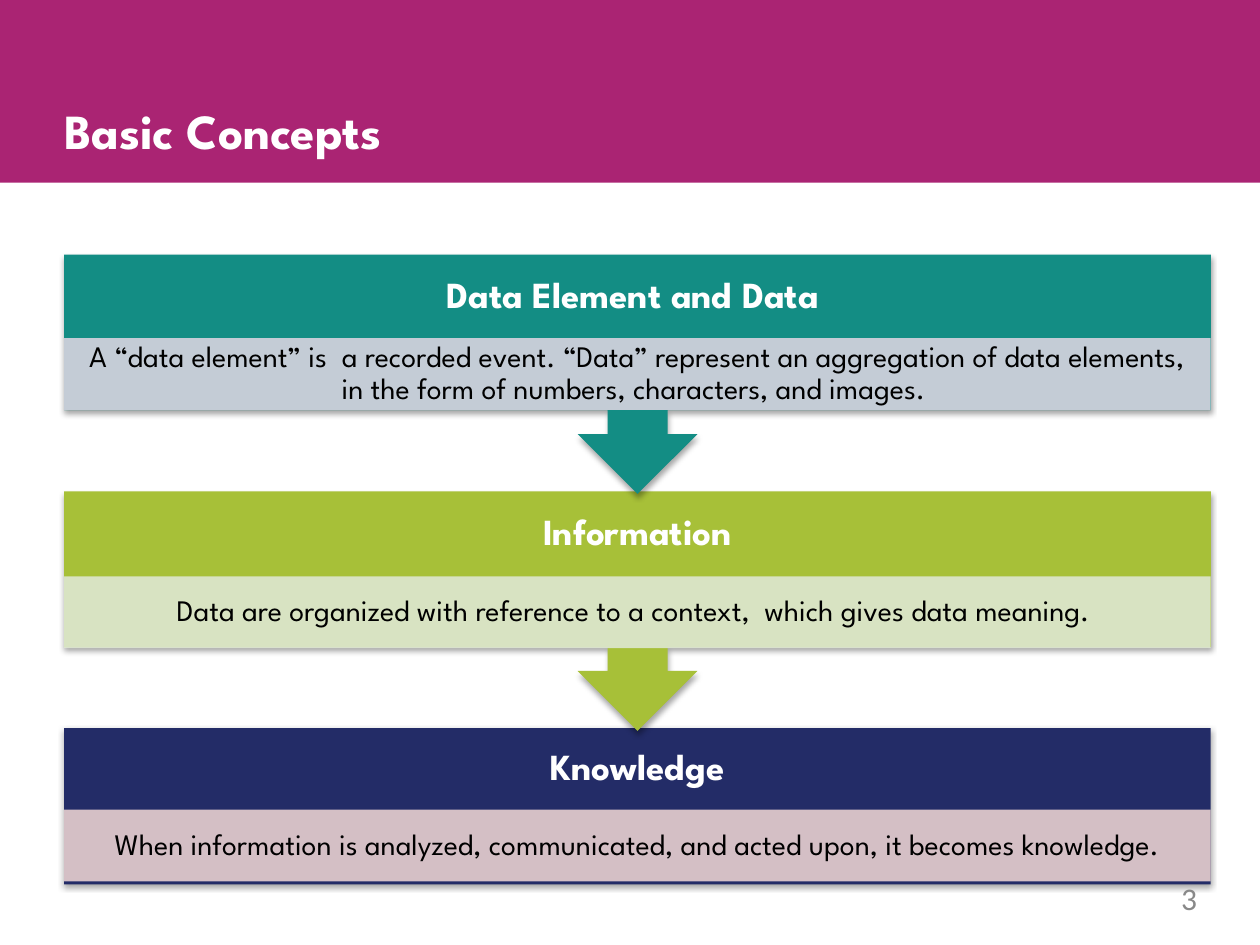
from dataclasses import dataclass

from lxml import etree
from pptx import Presentation
from pptx.dml.color import RGBColor
from pptx.enum import shapes, text
from pptx.oxml import ns
from pptx.util import Pt


@dataclass(frozen=True)
class Theme:
    banner: str = "AA2473"
    white: str = "FFFFFF"
    body: str = "000000"
    number: str = "898989"
    font: str = "League Spartan"
    number_font: str = "Calibri"
    title_size: float = 28
    heading_size: float = 21
    note_size: float = 17
    number_size: float = 18


@dataclass(frozen=True)
class Area:
    left: float
    top: float
    width: float
    height: float

    def lengths(self) -> tuple:
        return Pt(self.left), Pt(self.top), Pt(self.width), Pt(self.height)


@dataclass(frozen=True)
class Style:
    size: float
    color: str
    bold: bool = False
    font: str = Theme.font


@dataclass(frozen=True)
class Stage:
    heading: str
    note: str
    fill: str
    note_fill: str
    heading_height: float
    leads_on: bool = True


THEME = Theme()
TITLE = Style(THEME.title_size, THEME.white, True)
HEADING = Style(THEME.heading_size, THEME.white, True)
NOTE = Style(THEME.note_size, THEME.body)
NUMBER = Style(THEME.number_size, THEME.number, font=THEME.number_font)

LEFT, WIDTH = 36.72, 655.2
FIRST_TOP, STEP = 145.44, 135.36
CALLOUT_HEIGHT, BLOCK_HEIGHT, NOTE_HEIGHT = 136.8, 89.28, 41.04

STAGES = (
    Stage("Data Element and Data ",
          "A “data element” is  a recorded event. “Data” represent an aggregation "
          "of data elements, in the form of numbers, characters, and images. ",
          "138D84", "D8D3E0", 47.8),
    Stage("Information",
          "Data are organized with reference to a context,  which gives data meaning. ",
          "A7C038", "DEE7D1", 48.6),
    Stage("Knowledge",
          "When information is analyzed, communicated, and acted upon, "
          "it becomes knowledge.",
          "232C67", "E8D0D0", 46.5, leads_on=False),
)


def add_block(page, kind, area: Area, color: str):
    block = page.shapes.add_shape(kind, *area.lengths())
    block.shadow.inherit = False
    block.fill.solid()
    block.fill.fore_color.rgb = RGBColor.from_string(color)
    block.line.fill.background()
    return block


def set_alpha(color_element, percent: int) -> None:
    alpha = etree.SubElement(color_element, ns.qn("a:alpha"))
    alpha.set("val", str(percent * 1000))


def add_shadow(block) -> None:
    """Cast a soft shadow straight down, whatever the block's rotation."""
    effects = block._element.spPr.find(ns.qn("a:effectLst"))
    shadow = etree.SubElement(
        effects, ns.qn("a:outerShdw"), blurRad=str(Pt(3.1)), dist=str(Pt(1.8)),
        dir="5400000", rotWithShape="0")
    color = etree.SubElement(shadow, ns.qn("a:srgbClr"), val="000000")
    set_alpha(color, 35)


def write(box, words: str, style: Style, align=text.PP_ALIGN.CENTER,
          anchor=text.MSO_ANCHOR.MIDDLE, inset: tuple = (0, 0),
          spacing: float = 1.0) -> None:
    """Fill a shape with one run; inset is (sides, top and bottom)."""
    frame = box.text_frame
    frame.word_wrap = True
    frame.vertical_anchor = anchor
    frame.margin_left = frame.margin_right = Pt(inset[0])
    frame.margin_top = frame.margin_bottom = Pt(inset[1])
    para = frame.paragraphs[0]
    para.alignment = align
    para.line_spacing = spacing
    span = para.add_run()
    span.text = words
    span.font.name = style.font
    span.font.size = Pt(style.size)
    span.font.bold = style.bold
    span.font.color.rgb = RGBColor.from_string(style.color)


def add_label(page, area: Area, words: str, style: Style, **layout) -> None:
    write(page.shapes.add_textbox(*area.lengths()), words, style, **layout)


def add_stage(page, stage: Stage, top: float) -> None:
    if stage.leads_on:
        kind, height = shapes.MSO_SHAPE.UP_ARROW_CALLOUT, CALLOUT_HEIGHT
    else:
        kind, height = shapes.MSO_SHAPE.RECTANGLE, BLOCK_HEIGHT
    block = add_block(page, kind, Area(LEFT, top, WIDTH, height), stage.fill)
    block.rotation = 180 if stage.leads_on else 0
    add_shadow(block)

    add_label(page, Area(LEFT, top, WIDTH, stage.heading_height), stage.heading,
              HEADING, inset=(11.5, 11.5), spacing=0.9)

    note_area = Area(LEFT, top + stage.heading_height, WIDTH, NOTE_HEIGHT)
    note = add_block(page, shapes.MSO_SHAPE.RECTANGLE, note_area, stage.note_fill)
    set_alpha(note._element.spPr.find(ns.qn("a:solidFill"))[0], 90)
    write(note, stage.note, NOTE, inset=(9.4, 1.4), spacing=0.9)


def main() -> None:
    deck = Presentation()
    deck.slide_width, deck.slide_height = Pt(720), Pt(540)
    page = deck.slides.add_slide(deck.slide_layouts[6])

    add_block(page, shapes.MSO_SHAPE.RECTANGLE,
              Area(-8.64, 0, 739.44, 104.4), THEME.banner)
    add_label(page, Area(LEFT, 57.6, 612, 28.8), "Basic Concepts", TITLE,
              align=text.PP_ALIGN.LEFT, anchor=text.MSO_ANCHOR.TOP)

    for index, stage in reversed(list(enumerate(STAGES))):
        add_stage(page, stage, FIRST_TOP + index * STEP)

    add_label(page, Area(518.4, 502.56, 165.6, 21.6), "3", NUMBER,
              align=text.PP_ALIGN.RIGHT, anchor=text.MSO_ANCHOR.TOP)
    deck.save("out.pptx")


if __name__ == "__main__":
    main()
